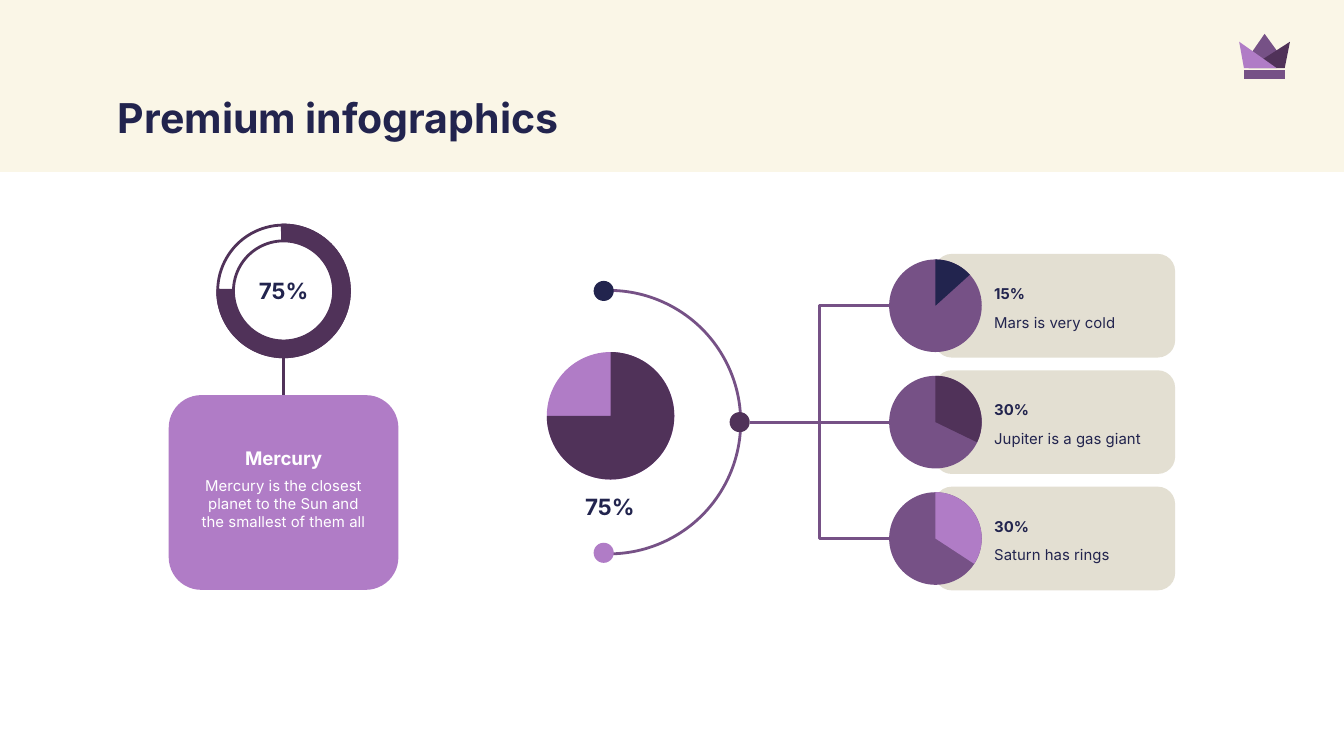
import lxml.etree
import pptx
import pptx.util
import pptx.dml.color
import pptx.enum.shapes
import pptx.enum.text
import pptx.oxml.ns
from dataclasses import dataclass

Cm = pptx.util.Cm
SHAPE = pptx.enum.shapes.MSO_SHAPE
CONNECTOR = pptx.enum.shapes.MSO_CONNECTOR
ALIGN = pptx.enum.text.PP_ALIGN
ANCHOR = pptx.enum.text.MSO_ANCHOR


@dataclass(frozen=True)
class Theme:
    font: str = "Inter"
    title_size: int = 22
    figure_size: int = 12
    heading_size: int = 10
    body_size: int = 8
    line_width: float = 1.5
    cream: str = "FAF6E7"
    sand: str = "E3DFD2"
    white: str = "FFFFFF"
    navy: str = "22244E"
    plum: str = "503259"
    violet: str = "765186"
    lilac: str = "B07CC6"


THEME = Theme()

TITLE = "Premium infographics"
RING_FIGURE = "75%"
CARD_HEADING = "Mercury"
CARD_BODY = "Mercury is the closest planet to the Sun and the smallest of them all"
MAIN_FIGURE = "75%"
# Figure, description, slice colour, slice sweep in degrees
PLANETS = [
    ("15%", "Mars is very cold", THEME.navy, 47.94),
    ("30%", "Jupiter is a gas giant", THEME.plum, 115.78),
    ("30%", "Saturn has rings", THEME.lilac, 123.16),
]
# Centre and colour of the dots on the arc
DOTS = [
    (11.41, 5.5, THEME.navy),
    (11.41, 10.45, THEME.lilac),
    (13.98, 7.98, THEME.plum),
]
# Outline and colour of each part of the crown
CROWN = [
    ([(23.51, 1.33), (24.29, 1.33), (24.29, 1.5), (23.51, 1.5)], THEME.violet),
    ([(23.52, 1.19), (23.9, 0.64), (24.3, 1.19)], THEME.violet),
    ([(24.28, 1.29), (24.38, 0.79), (23.6, 1.29)], THEME.plum),
    ([(23.51, 1.29), (23.42, 0.79), (24.13, 1.29)], THEME.lilac),
]

ROW_MIDDLE, ROW_PITCH = 7.98, 2.2
RING_CENTRE, RING_SIZE = (5.36, 5.5), 2.49
ARC_CENTRE, ARC_SIZE = (11.51, 7.98), 4.98
MAIN_PIE_CENTRE, MAIN_PIE_SIZE = (11.54, 7.86), 2.41
PLANET_X, PLANET_SIZE = 17.68, 1.75
DOT_SIZE = 0.38
CARD_TOP = 7.47


def rgb(color):
    return pptx.dml.color.RGBColor.from_string(color)


def angle(degrees):
    """Turn degrees into the scale that shape adjustments use."""
    return degrees % 360 * 0.6


def paint(shape, fill=None, line=None):
    shape.shadow.inherit = False
    if fill:
        shape.fill.solid()
        shape.fill.fore_color.rgb = rgb(fill)
    else:
        shape.fill.background()
    if line:
        shape.line.color.rgb = rgb(line)
        shape.line.width = pptx.util.Pt(THEME.line_width)
    else:
        shape.line.fill.background()


def add_shape(page, kind, left, top, width, height, fill=None, line=None, adjust=()):
    shape = page.shapes.add_shape(kind, Cm(left), Cm(top), Cm(width), Cm(height))
    for index, value in enumerate(adjust):
        shape.adjustments[index] = value
    paint(shape, fill, line)
    return shape


def add_round(page, kind, centre, size, **style):
    """Add a shape in a square box around its centre."""
    x, y = centre
    return add_shape(page, kind, x - size / 2, y - size / 2, size, size, **style)


def add_pie(page, centre, size, base, color, sweep):
    """Add a disc with one slice that runs clockwise from the top."""
    add_round(page, SHAPE.OVAL, centre, size, fill=base)
    add_round(page, SHAPE.PIE, centre, size, fill=color,
              adjust=(angle(270), angle(270 + sweep)))


def add_line(page, kind, start, end, color):
    line = page.shapes.add_connector(kind, *(Cm(value) for value in (*start, *end)))
    line.line.color.rgb = rgb(color)
    line.line.width = pptx.util.Pt(THEME.line_width)
    properties = line._element.find(pptx.oxml.ns.qn("p:spPr"))
    lxml.etree.SubElement(properties, pptx.oxml.ns.qn("a:effectLst"))


def write(shape, text, size=THEME.body_size, color=THEME.navy, bold=False,
          align=ALIGN.LEFT, anchor=ANCHOR.TOP):
    frame = shape.text_frame
    frame.word_wrap = True
    frame.vertical_anchor = anchor
    frame.margin_left = frame.margin_right = Cm(0.25)
    frame.margin_top = frame.margin_bottom = Cm(0.25)
    para = frame.paragraphs[0]
    para.alignment = align
    span = para.add_run()
    span.text = text
    span.font.name = THEME.font
    span.font.size = pptx.util.Pt(size)
    span.font.bold = bold
    span.font.color.rgb = rgb(color)


def add_text(page, left, top, width, height, text, **style):
    box = page.shapes.add_textbox(Cm(left), Cm(top), Cm(width), Cm(height))
    write(box, text, **style)


def add_header(page):
    add_shape(page, SHAPE.RECTANGLE, 0, 0, 25.4, 3.25, fill=THEME.cream)
    add_text(page, 1.98, 1.5, 21.44, 1.35, TITLE, size=THEME.title_size, bold=True)
    for points, color in CROWN:
        start, *others = [(Cm(x), Cm(y)) for x, y in points]
        builder = page.shapes.build_freeform(*start)
        builder.add_line_segments(others, close=True)
        paint(builder.convert_to_shape(), color)


def add_mercury(page):
    x, y = RING_CENTRE
    add_shape(page, SHAPE.ROUNDED_RECTANGLE, x - 2.17, CARD_TOP, 4.34, 3.68,
              fill=THEME.lilac, adjust=(0.167,))
    centred = dict(color=THEME.white, align=ALIGN.CENTER)
    add_text(page, x - 1.88, 8.76, 3.76, 1.47, CARD_BODY, **centred)
    add_text(page, x - 1.88, 8.38, 3.76, 0.71, CARD_HEADING, bold=True,
             size=THEME.heading_size, anchor=ANCHOR.BOTTOM, **centred)
    add_round(page, SHAPE.DONUT, RING_CENTRE, RING_SIZE, line=THEME.plum, adjust=(0.12,))
    ring = add_round(page, SHAPE.BLOCK_ARC, RING_CENTRE, RING_SIZE, fill=THEME.plum,
                     line=THEME.plum, adjust=(angle(268.9), angle(180.7), 0.116))
    write(ring, RING_FIGURE, size=THEME.figure_size, bold=True,
          align=ALIGN.CENTER, anchor=ANCHOR.MIDDLE)
    add_line(page, CONNECTOR.STRAIGHT, (x, y + RING_SIZE / 2), (x, CARD_TOP), THEME.plum)


def add_planets(page):
    add_round(page, SHAPE.ARC, ARC_CENTRE, ARC_SIZE, line=THEME.violet,
              adjust=(angle(270), angle(88.3)))
    for x, y, color in DOTS:
        add_round(page, SHAPE.OVAL, (x, y), DOT_SIZE, fill=color)
    hub_x, hub_y, _ = DOTS[-1]
    for row, (figure, description, color, sweep) in enumerate(PLANETS):
        y = ROW_MIDDLE + (row - (len(PLANETS) - 1) / 2) * ROW_PITCH
        add_shape(page, SHAPE.ROUNDED_RECTANGLE, 17.66, y - 0.98, 4.55, 1.96,
                  fill=THEME.sand, adjust=(0.167,))
        add_pie(page, (PLANET_X, y), PLANET_SIZE, THEME.violet, color, sweep)
        add_line(page, CONNECTOR.ELBOW, (hub_x + DOT_SIZE / 2, hub_y),
                 (PLANET_X - PLANET_SIZE / 2, y), THEME.violet)
        add_text(page, 18.54, y - 0.03, 3.45, 0.61, description)
        add_text(page, 18.54, y - 0.57, 1.3, 0.71, figure, bold=True)
    add_pie(page, MAIN_PIE_CENTRE, MAIN_PIE_SIZE, THEME.lilac, THEME.plum, 270)
    add_text(page, 10.65, 9.07, 1.75, 0.89, MAIN_FIGURE, size=THEME.figure_size,
             bold=True, align=ALIGN.CENTER)


def main():
    deck = pptx.Presentation()
    deck.slide_width, deck.slide_height = Cm(25.4), Cm(14.29)
    page = deck.slides.add_slide(deck.slide_layouts[6])
    add_header(page)
    add_mercury(page)
    add_planets(page)
    deck.save("out.pptx")


if __name__ == "__main__":
    main()
